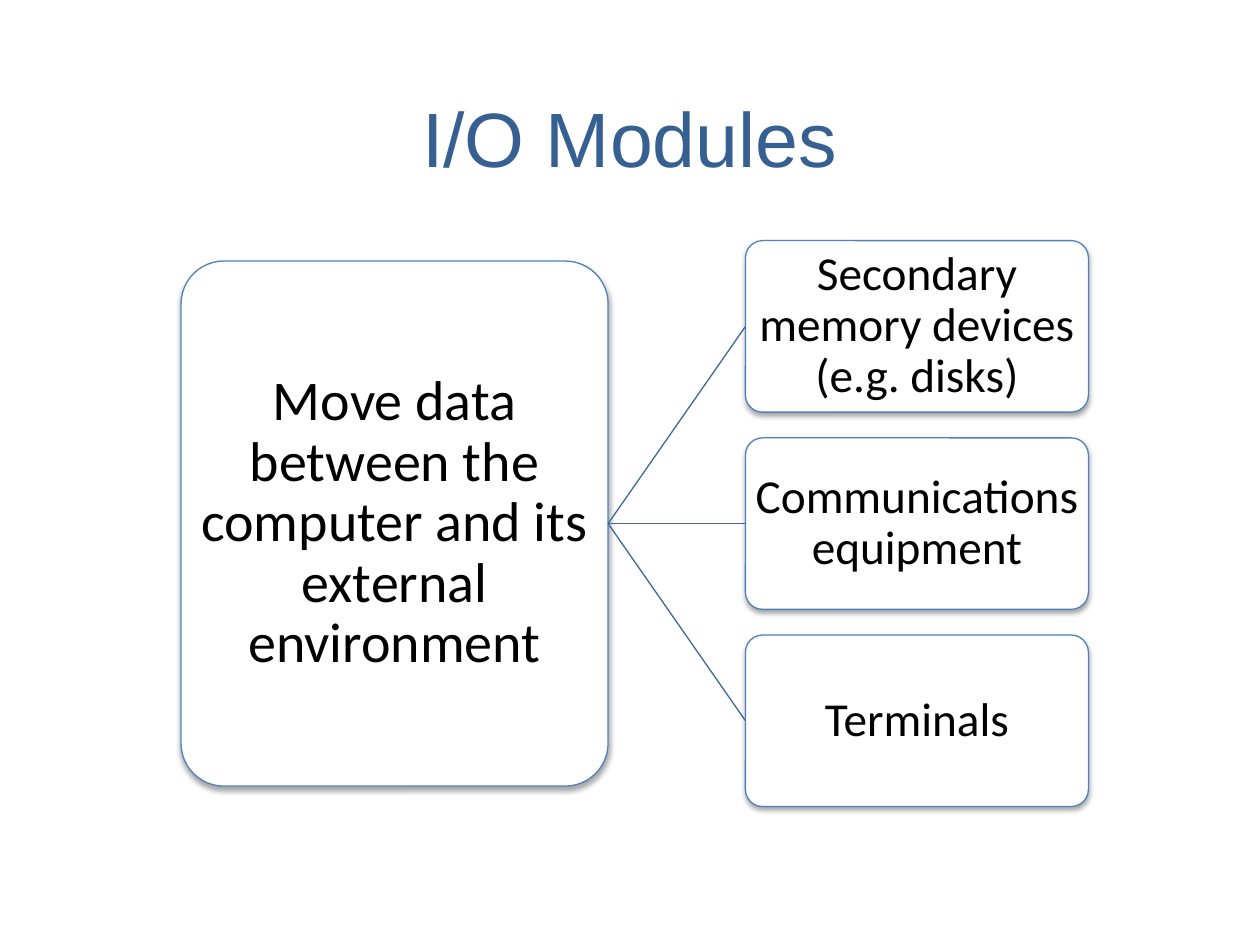
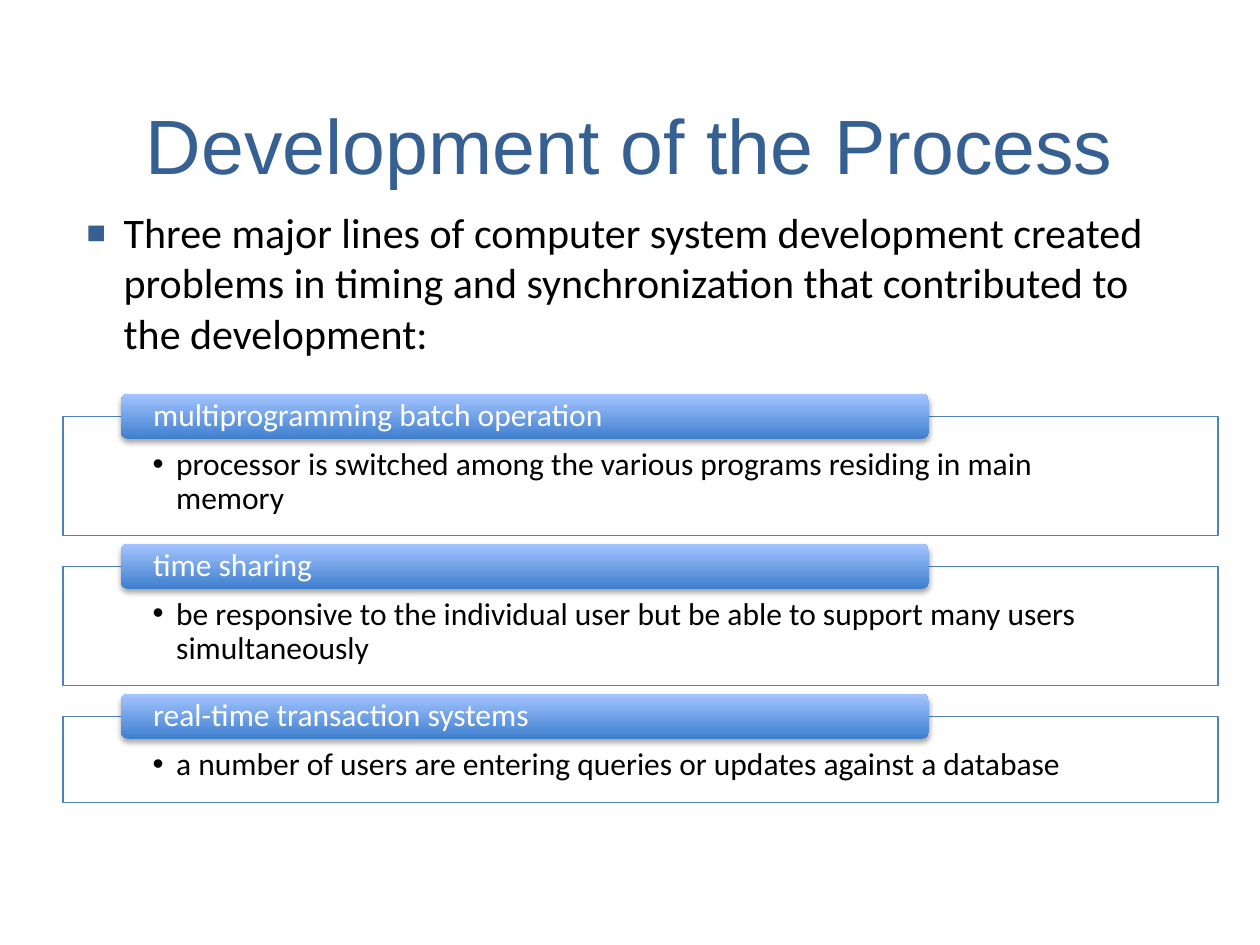
from dataclasses import dataclass

from lxml.etree import SubElement
from pptx import Presentation
from pptx.dml.color import RGBColor
from pptx.enum.shapes import MSO_CONNECTOR as CONN, MSO_SHAPE as SHAPE
from pptx.enum.text import MSO_ANCHOR as ANCHOR, MSO_AUTO_SIZE as AUTO, PP_ALIGN as ALIGN
from pptx.oxml.ns import qn
from pptx.util import Pt


@dataclass(frozen=True)
class Theme:
    # Colours
    title: str = "376092"
    ink: str = "000000"
    paper: str = "FFFFFF"
    outline: str = "4F81BD"
    link: str = "3F6797"
    bar_bottom: str = "3F7FCE"
    bar_top: str = "A4C4FF"
    # Fonts, type sizes and line width
    title_font: str = "Arial"
    body_font: str = "Calibri"
    title_size: int = 44
    root_size: int = 32
    branch_size: int = 27
    intro_size: int = 24
    item_size: int = 18
    line_width: float = 0.75
    spacing: float = 0.9


def add_xml(parent, tag, **attrs):
    return SubElement(parent, qn(tag), {k: str(v) for k, v in attrs.items()})


class Deck:
    def __init__(self, prs, theme):
        self.prs, self.theme, self.slide = prs, theme, None

    def add_slide(self, title, box):
        """Start a slide with a formatted title."""
        t = self.theme
        self.slide = self.prs.slides.add_slide(self.prs.slide_layouts[5])
        sp = self.slide.shapes.title
        sp.left, sp.top, sp.width, sp.height = map(Pt, box)
        self.set_text(sp, title, t.title_size, t.title, font=t.title_font,
                      align=ALIGN.CENTER, spacing=1)

    def set_text(self, sp, text, size, color, font=None, align=ALIGN.LEFT,
                 anchor=ANCHOR.MIDDLE, insets=(7.2, 3.6, 7.2, 3.6), spacing=None, bullet=None):
        """Fill a shape with one formatted paragraph."""
        tf = sp.text_frame
        tf.text, tf.word_wrap, tf.auto_size = text, True, AUTO.NONE
        tf.vertical_anchor = anchor
        tf.margin_left, tf.margin_top, tf.margin_right, tf.margin_bottom = map(Pt, insets)
        p = tf.paragraphs[0]
        if bullet:
            self.bullet(p, *bullet)
        p.alignment = align
        p.line_spacing = spacing or self.theme.spacing
        for r in p.runs:
            r.font.name = font or self.theme.body_font
            r.font.size = Pt(size)
            r.font.color.rgb = RGBColor.from_string(color)

    def bullet(self, p, char, indent, color, percent):
        pPr = p._p.get_or_add_pPr()
        pPr.set("marL", str(Pt(indent)))
        pPr.set("indent", str(Pt(-indent)))
        add_xml(add_xml(pPr, "a:buClr"), "a:srgbClr", val=color)
        add_xml(pPr, "a:buSzPct", val=percent * 1000)
        add_xml(pPr, "a:buFont", typeface="Arial")
        add_xml(pPr, "a:buChar", char=char)

    def shape(self, kind, box, outlined=True, shadow=False):
        """Add a white shape, with an outline and a soft shadow if wanted."""
        sp = self.slide.shapes.add_shape(kind, *map(Pt, box))
        sp.fill.solid()
        sp.fill.fore_color.rgb = RGBColor.from_string(self.theme.paper)
        if outlined:
            sp.line.color.rgb = RGBColor.from_string(self.theme.outline)
            sp.line.width = Pt(self.theme.line_width)
        else:
            sp.line.fill.background()
        sp.shadow.inherit = False
        if shadow:
            effects = sp._element.spPr.find(qn("a:effectLst"))
            outer = add_xml(effects, "a:outerShdw", blurRad=Pt(3.1), dist=Pt(1.8),
                            dir=90 * 60000, rotWithShape=0)
            clr = add_xml(outer, "a:srgbClr", val=self.theme.ink)
            add_xml(clr, "a:alpha", val=35000)
        return sp

    def node(self, text, box, size):
        """Add a rounded box of the tree."""
        sp = self.shape(SHAPE.ROUNDED_RECTANGLE, box, shadow=True)
        sp.adjustments[0] = 0.1
        self.set_text(sp, text, size, self.theme.ink, align=ALIGN.CENTER, insets=(1.44,) * 4)

    def link(self, x1, y1, x2, y2):
        cx = self.slide.shapes.add_connector(CONN.STRAIGHT, *map(Pt, (x1, y1, x2, y2)))
        cx.line.color.rgb = RGBColor.from_string(self.theme.link)
        cx.line.width = Pt(self.theme.line_width)
        add_xml(cx._element.spPr, "a:effectLst")

    def intro(self, text, box):
        t = self.theme
        sp = self.slide.shapes.add_textbox(*map(Pt, box))
        self.set_text(sp, text, t.intro_size, t.ink, anchor=ANCHOR.TOP, spacing=1,
                      bullet=("▪", 21.6, t.title, 150))

    def panel(self, text, box):
        """Add an outlined panel with one bulleted item."""
        t = self.theme
        sp = self.shape(SHAPE.RECTANGLE, box)
        clr = sp._element.spPr.find(qn("a:solidFill"))[0]
        add_xml(clr, "a:alpha", val=90000)
        self.set_text(sp, text, t.item_size, t.ink, anchor=ANCHOR.TOP,
                      insets=(51.2, 18, 51.2, 10), bullet=("•", 13.5, t.ink, 100))

    def bar(self, text, box):
        """Add a gradient heading bar."""
        t = self.theme
        sp = self.shape(SHAPE.ROUNDED_RECTANGLE, box, outlined=False, shadow=True)
        sp.fill.gradient()
        sp.fill.gradient_angle = 90
        for stop, color in zip(sp.fill.gradient_stops, (t.bar_bottom, t.bar_top)):
            stop.color.rgb = RGBColor.from_string(color)
        self.set_text(sp, text, t.item_size, t.paper, insets=(17.3, 0, 17.3, 0))


def io_modules(deck):
    t = deck.theme
    deck.add_slide("I/O Modules", (52, 36, 616, 84))

    # Root box
    left, top, width, height = 103.5, 149.2, 244, 300
    deck.node("Move data between the computer and its external environment",
              (left, top, width, height), t.root_size)

    # Branches, centred on the root
    branches = ["Secondary memory devices (e.g. disks)", "Communications equipment", "Terminals"]
    branch_x, branch_w, branch_h, pitch = 426, 196, 98, 112.7
    root_right, middle = left + width, top + height / 2
    for i, text in enumerate(branches):
        y = middle + (i - 1) * pitch
        deck.link(root_right, middle, branch_x, y)
        deck.node(text, (branch_x, y - branch_h / 2, branch_w, branch_h), t.branch_size)


def process_development(deck):
    deck.add_slide("Development of the Process", (36, 37, 648, 90))
    deck.intro("Three major lines of computer system development created problems in timing "
               "and synchronization that contributed to the development:",
               (42, 114.5, 634, 121))

    # Panels stacked with equal gaps, each with a bar over its top edge
    items = [
        ("multiprogramming batch operation", 68,
         "processor is switched among the various programs residing in main memory"),
        ("time sharing", 68,
         "be responsive to the individual user but be able to support many users simultaneously"),
        ("real-time transaction systems", 49,
         "a number of users are entering queries or updates against a database"),
    ]
    y, gap, bar_h = 238, 17.7, 25.7
    for heading, height, text in items:
        deck.panel(text, (36, y, 660, height))
        deck.bar(heading, (69, y - bar_h / 2, 462, bar_h))
        y += height + gap


def main():
    prs = Presentation()
    prs.slide_width, prs.slide_height = Pt(720), Pt(540)
    deck = Deck(prs, Theme())
    io_modules(deck)
    process_development(deck)
    prs.save("out.pptx")


if __name__ == "__main__":
    main()
